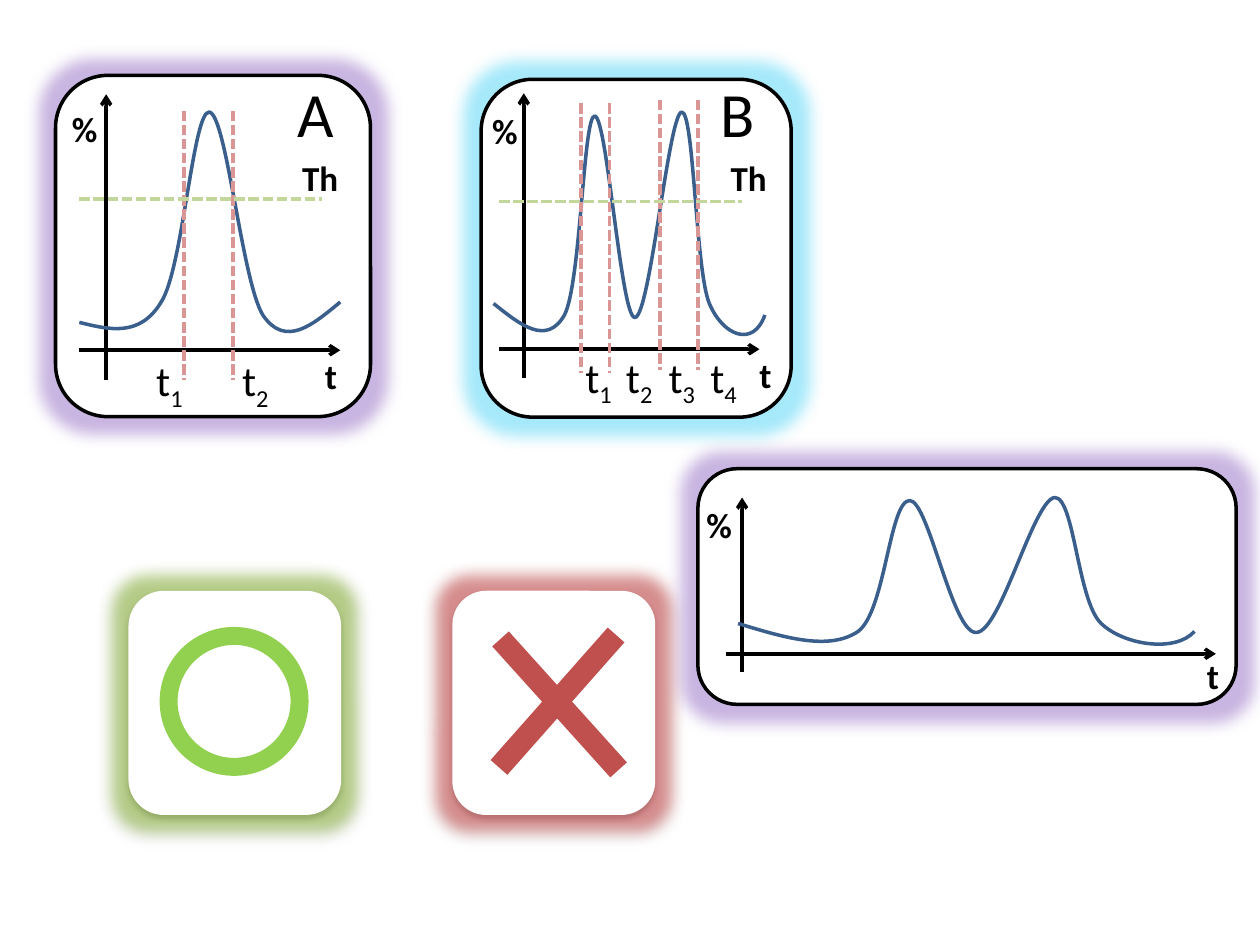
from dataclasses import dataclass

from lxml.etree import SubElement
from pptx import Presentation
from pptx.dml.color import RGBColor
from pptx.enum.dml import MSO_LINE
from pptx.enum.shapes import MSO_CONNECTOR, MSO_SHAPE
from pptx.oxml.ns import qn
from pptx.util import Cm, Pt


@dataclass(frozen=True)
class Theme:
    """Colours, type sizes and line widths of the slide."""
    font: str = "Calibri"
    ink: str = "000000"
    paper: str = "FFFFFF"
    curve: str = "3A5F8C"
    time: str = "D99694"
    threshold: str = "C3D69B"
    yes: str = "92D050"
    no: str = "C0504D"
    purple_glow: str = "7846B4"
    cyan_glow: str = "1EC8F5"
    green_glow: str = "75AF05"
    red_glow: str = "C81414"
    title: int = 36
    tick: int = 24
    label: int = 20
    thin: float = 2
    ring: float = 10.25
    cross: float = 12.75
    glow: float = 18


T = Theme()


def add_effect(effects, tag, color, alpha, **attrs):
    """Append a glow or shadow in a translucent colour."""
    effect = SubElement(effects, qn(tag), attrs)
    clr = SubElement(effect, qn("a:srgbClr"), val=color)
    SubElement(clr, qn("a:alpha"), val=str(alpha * 1000))


def style_line(line, color, width):
    """Give a line its colour and width."""
    line.color.rgb = RGBColor.from_string(color)
    line.width = Pt(width)


def add_line(shapes, box, start, end, color=T.ink, width=T.thin, dashed=False, arrow=False):
    """Draw a straight line between two points of the box."""
    x, y = box[:2]
    ends = [Cm(v) for v in (x + start[0], y + start[1], x + end[0], y + end[1])]
    cxn = shapes.add_connector(MSO_CONNECTOR.STRAIGHT, *ends)
    style_line(cxn.line, color, width)
    if dashed:
        cxn.line.dash_style = MSO_LINE.SQUARE_DOT
    if arrow:
        SubElement(cxn.line._get_or_add_ln(), qn("a:tailEnd"), type="arrow")
    SubElement(cxn._element.spPr, qn("a:effectLst"))


def add_text(shapes, box, at, text, size=T.label, bold=True, sub="", w=1.63):
    """Place a label, with an optional subscript, in the box."""
    h = Pt(size * 1.2) + Cm(0.26)
    tb = shapes.add_textbox(Cm(box[0] + at[0]), Cm(box[1] + at[1]), Cm(w), h)
    tf = tb.text_frame
    tf.word_wrap = True
    tf.text = text
    p = tf.paragraphs[0]
    if sub:
        r = p.add_run()
        r.text = sub
        r.font._element.set("baseline", "-25000")
    for r in p.runs:
        r.font.name, r.font.size, r.font.bold = T.font, Pt(size), bold
        r.font.color.rgb = RGBColor.from_string(T.ink)


def add_curve(shapes, box, points, height):
    """Draw a smooth curve from a start point and triples of Bezier points."""
    pts = [(Cm(box[0] + px), Cm(box[1] + py)) for px, py in points]
    fb = shapes.build_freeform(*pts[0])
    fb.add_line_segments(pts[1:], close=False)
    sp = fb.convert_to_shape()
    path = sp._element.find(".//" + qn("a:path"))
    segments = path.findall(qn("a:lnTo"))
    for i in range(0, len(segments), 3):
        bez = SubElement(path, qn("a:cubicBezTo"))
        for seg in segments[i:i + 3]:
            bez.append(seg[0])
            path.remove(seg)
    sp.height = Cm(height)
    path.set("h", str(Cm(height)))
    sp.fill.background()
    sp.shadow.inherit = False
    style_line(sp.line, T.curve, T.thin)


def add_card(shapes, box, glow, outlined):
    """Draw a glowing rounded card, either outlined or shadowed."""
    sp = shapes.add_shape(MSO_SHAPE.ROUNDED_RECTANGLE, *(Cm(v) for v in box))
    sp.fill.solid()
    sp.fill.fore_color.rgb = RGBColor.from_string(T.paper)
    sp.shadow.inherit = False
    effects = sp._element.spPr.find(qn("a:effectLst"))
    add_effect(effects, "a:glow", glow, 40, rad=str(Pt(T.glow)))
    if outlined:
        style_line(sp.line, T.ink, T.thin)
    else:
        sp.line.fill.background()
        add_effect(effects, "a:outerShdw", T.ink, 32, blurRad=str(Pt(3.5)),
                   dist=str(Pt(2.2)), dir="5400000", rotWithShape="0")


def plot_card(s, box, glow, axis_x, axis_y, percent, time, curve, height, time_w=1.63):
    """Draw a card holding axes, their labels and a curve; return its shapes."""
    shapes = s.shapes.add_group_shape().shapes
    add_card(shapes, box, glow, True)
    (left, right, base), (x, top, bottom) = axis_x, axis_y
    add_line(shapes, box, (x, bottom), (x, top), arrow=True)
    add_line(shapes, box, (left, base), (right, base), arrow=True)
    add_text(shapes, box, percent, "%")
    add_text(shapes, box, time, "t", w=time_w)
    add_curve(shapes, box, curve, height)
    return shapes


def mark_threshold(shapes, box, name, name_at, th_at, level, crossings, ticks, tick_y):
    """Add the card letter, threshold line, crossing lines and their names."""
    add_text(shapes, box, name_at, name, T.title, False, w=1.35)
    for x, top in crossings:
        add_line(shapes, box, (x, top), (x, top + 5.44), T.time, dashed=True)
    left, y = level
    add_line(shapes, box, (left, y), (left + 4.9, y), T.threshold, dashed=True)
    for i, x in enumerate(ticks, 1):
        add_text(shapes, box, (x, tick_y), "t", T.tick, False, str(i), 1.12)
    add_text(shapes, box, th_at, "Th")


def yes_card(s, box):
    """Draw the card with a green ring."""
    shapes = s.shapes.add_group_shape().shapes
    add_card(shapes, box, T.green_glow, False)
    x, y = box[:2]
    ring = shapes.add_shape(MSO_SHAPE.OVAL, Cm(x + 0.81), Cm(y + 0.91), Cm(2.64), Cm(2.64))
    ring.fill.background()
    ring.shadow.inherit = False
    style_line(ring.line, T.yes, T.ring)


def no_card(s, box):
    """Draw the card with a red cross."""
    shapes = s.shapes.add_group_shape().shapes
    add_card(shapes, box, T.red_glow, False)
    add_line(shapes, box, (0.94, 3.56), (3.3, 0.89), T.no, T.cross)
    add_line(shapes, box, (0.97, 0.97), (3.35, 3.61), T.no, T.cross)


def main():
    """Build the slide and save it."""
    prs = Presentation()
    prs.slide_width, prs.slide_height = Cm(25.4), Cm(19.05)
    s = prs.slides.add_slide(prs.slide_layouts[6])

    box = (1.12, 1.52, 6.35, 6.88)
    one_peak = [(0.48, 4.98), (1.09, 5.13), (1.7, 5.28), (2.13, 4.57), (2.57, 3.89),
                (2.77, 0.71), (3.1, 0.74), (3.45, 0.79), (3.76, 4.19), (4.19, 4.85),
                (4.65, 5.49), (5.18, 5.03), (5.74, 4.57)]
    card = plot_card(s, box, T.purple_glow, (0.48, 5.74, 5.54), (1.02, 0.38, 6.15),
                     (0.08, 0.53), (5.18, 5.51), one_peak, 4.42)
    mark_threshold(card, box, "A", (4.62, -0.15), (4.72, 1.5), (0.48, 2.49),
                   [(2.59, 0.71), (3.58, 0.71)], (1.78, 3.51), 5.51)

    box = (9.7, 1.6, 6.25, 6.81)
    two_peaks = [(0.25, 4.52), (0.79, 4.95), (1.32, 5.38), (1.68, 4.75), (2.01, 4.11),
                 (2.06, 0.71), (2.29, 0.74), (2.54, 0.74), (2.82, 4.83), (3.1, 4.8),
                 (3.4, 4.8), (3.78, 0.71), (4.04, 0.66), (4.29, 0.61), (4.32, 3.84),
                 (4.6, 4.52), (4.88, 5.18), (5.49, 5.41), (5.72, 4.75)]
    card = plot_card(s, box, T.cyan_glow, (0.36, 5.61, 5.44), (0.86, 0.28, 6.02),
                     (-0.03, 0.48), (5.36, 5.41), two_peaks, 4.52)
    mark_threshold(card, box, "B", (4.57, -0.23), (4.78, 1.42), (0.36, 2.46),
                   [(2.01, 0.48), (2.59, 0.48), (3.61, 0.41), (4.37, 0.41)],
                   (1.85, 2.67, 3.53, 4.37), 5.36)

    yes_card(s, (2.59, 11.91, 4.29, 4.52))
    no_card(s, (9.12, 11.91, 4.09, 4.52))

    wide_peaks = [(0.81, 3.12), (1.73, 3.4), (2.64, 3.68), (3.23, 3.28), (3.78, 2.87),
                  (3.86, 0.64), (4.27, 0.64), (4.65, 0.64), (5.13, 3.33), (5.61, 3.3),
                  (6.1, 3.3), (6.76, 0.64), (7.19, 0.58), (7.59, 0.56), (7.65, 2.67),
                  (8.13, 3.12), (8.59, 3.56), (9.63, 3.71), (10.01, 3.28)]
    plot_card(s, (14.07, 9.45, 10.85, 4.75), T.purple_glow, (0.56, 10.44, 3.73),
              (0.89, 0.58, 4.09), (-0.08, 0.58), (10.01, 3.61), wide_peaks, 2.97, 0.81)
    prs.save("out.pptx")


if __name__ == "__main__":
    main()
